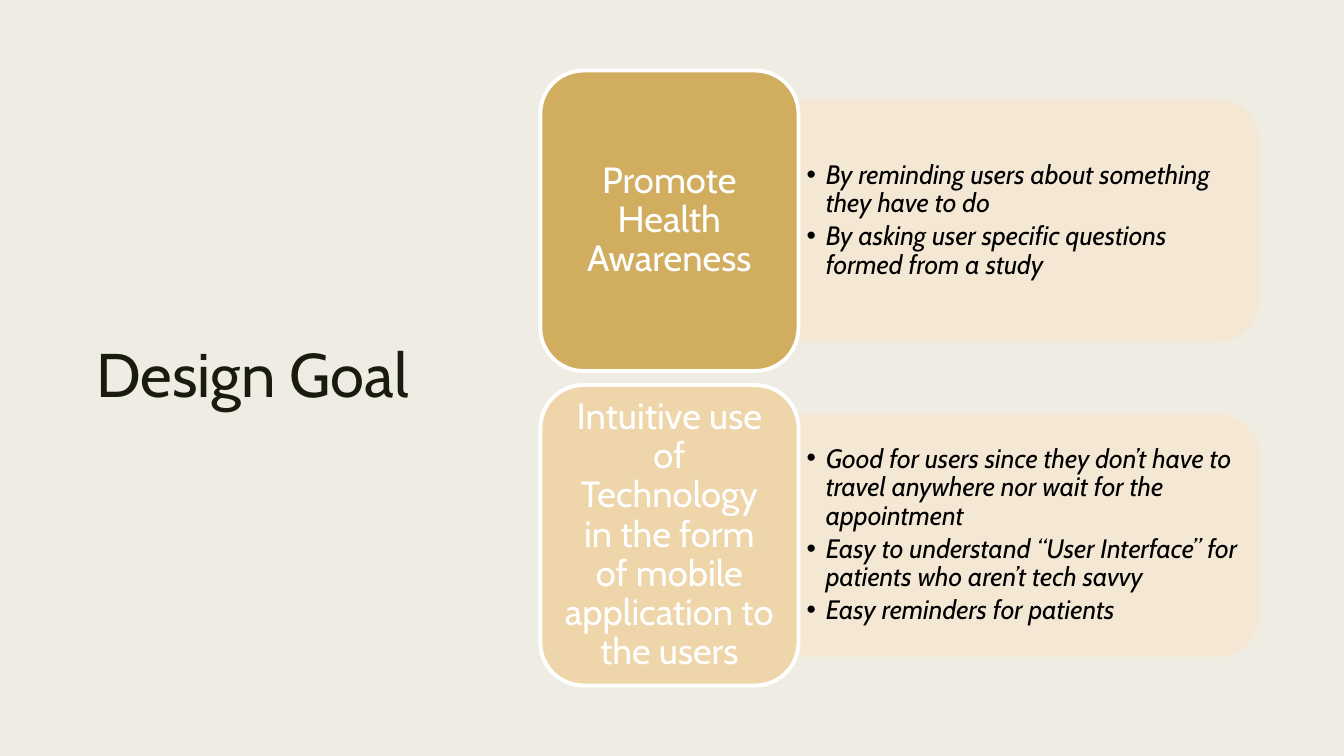
"""Build the Design Goal slide: two goal cards, each with a panel of bullet points."""
from pptx import Presentation
from pptx import util as u
from pptx.dml.color import RGBColor
from pptx.enum import shapes, text
from pptx.oxml.ns import qn
from lxml import etree


def paint(target, color, alpha=None):
    """Give a fill a solid colour, with an optional opacity in percent."""
    target.solid()
    target.fore_color.rgb = RGBColor.from_string(color)
    if alpha:
        for node in target._xPr.find(qn("a:solidFill")):
            etree.SubElement(node, qn("a:alpha")).set("val", str(alpha * 1000))


def write(shape, lines, size, color, margins, align, italic=False):
    """Fill a shape with formatted, vertically centred paragraphs."""
    frame = shape.text_frame
    frame.text = "\n".join(lines)
    frame.word_wrap = True
    frame.auto_size = text.MSO_AUTO_SIZE.NONE
    frame.vertical_anchor = text.MSO_ANCHOR.MIDDLE
    frame.margin_left = frame.margin_right = u.Inches(margins[0])
    frame.margin_top = frame.margin_bottom = u.Inches(margins[1])
    for para in frame.paragraphs:
        para.alignment = align
        para.line_spacing = 0.9
        para.space_before = u.Pt(0)
        para.space_after = u.Pt(size * 0.15) if len(lines) > 1 else u.Pt(0)
        for span in para.runs:
            span.font.name = "Cabin"
            span.font.size = u.Pt(size)
            span.font.italic = italic
            paint(span.font.fill, color)


goals = [
    ("Promote Health Awareness", "D1AE5F", [
        "By reminding users about something they have to do",
        "By asking user specific questions formed from a study",
    ]),
    ("Intuitive use of Technology in the form of mobile application to the users", "EED6AA", [
        "Good for users since they don’t have to travel anywhere nor wait for the appointment",
        "Easy to understand “User Interface” for patients who aren’t tech savvy",
        "Easy reminders for patients",
    ]),
]
card_left, card_top, card_width, card_height, card_step = 5.36, 0.7, 2.56, 2.98, 3.12
panel_width, panel_height = 4.55, 2.38
list_width, list_height = 4.44, 2.15

deck = Presentation()
deck.slide_width = u.Inches(13.33)
deck.slide_height = u.Inches(7.5)
page = deck.slides.add_slide(deck.slide_layouts[3])
paint(page.background.fill, "EFEDE3")

title = page.shapes.title
title.left, title.top = u.Inches(0.7), u.Inches(0.7)
title.width, title.height = u.Inches(3.61), u.Inches(6.1)
write(title, ["Design Goal"], 44, "191B0E", (0.1, 0.05), text.PP_ALIGN.CENTER)

for index, (goal, card_color, points) in enumerate(goals):
    top = card_top + index * card_step
    middle = top + card_height / 2
    panel_left = card_left + card_width

    panel = page.shapes.add_shape(
        shapes.MSO_SHAPE.ROUND_2_SAME_RECTANGLE,
        u.Inches(panel_left + (panel_width - panel_height) / 2),
        u.Inches(middle - panel_width / 2),
        u.Inches(panel_height), u.Inches(panel_width))
    panel.rotation = 90
    panel.shadow.inherit = False
    paint(panel.fill, "F5E8D4", 90)
    paint(panel.line.fill, "F5E8D4", 90)
    panel.line.width = u.Pt(2.75)

    body = page.placeholders[index + 1]
    body.left, body.top = u.Inches(panel_left), u.Inches(middle - list_height / 2)
    body.width, body.height = u.Inches(list_width), u.Inches(list_height)
    write(body, points, 19, "000000", (0.08, 0.04), text.PP_ALIGN.LEFT, italic=True)
    for para in body.text_frame.paragraphs:
        properties = para._p.get_or_add_pPr()
        properties.set("marL", str(u.Inches(0.19)))
        properties.set("indent", str(-u.Inches(0.19)))
        etree.SubElement(properties, qn("a:buChar")).set("char", "•")
    page.shapes._spTree.append(body._element)

    card = page.shapes.add_shape(
        shapes.MSO_SHAPE.ROUNDED_RECTANGLE, u.Inches(card_left), u.Inches(top),
        u.Inches(card_width), u.Inches(card_height))
    card.shadow.inherit = False
    paint(card.fill, card_color)
    paint(card.line.fill, "FFFFFF")
    card.line.width = u.Pt(2.75)
    write(card, [goal], 26, "FFFFFF", (0.11, 0.05), text.PP_ALIGN.CENTER)

deck.save("out.pptx")
